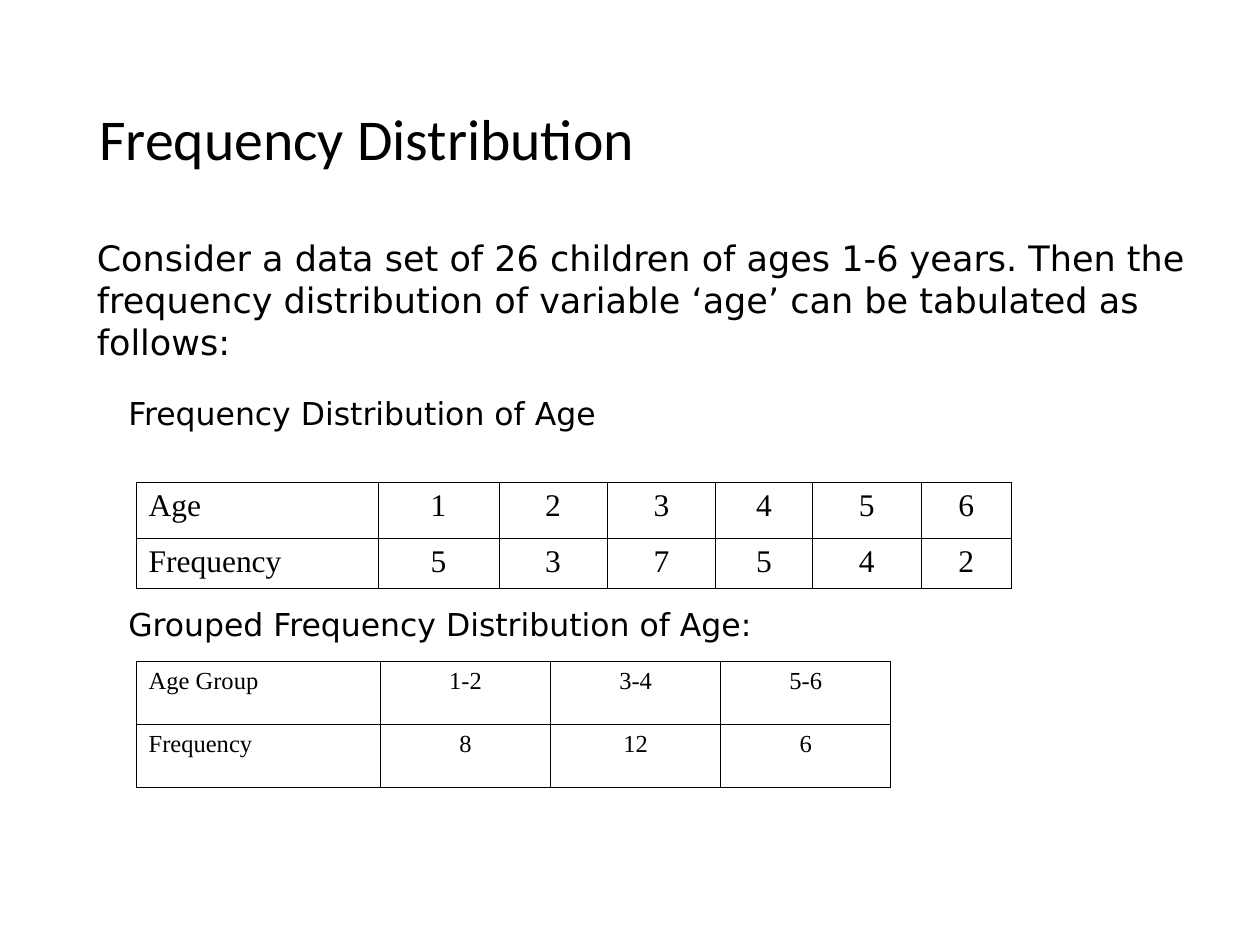
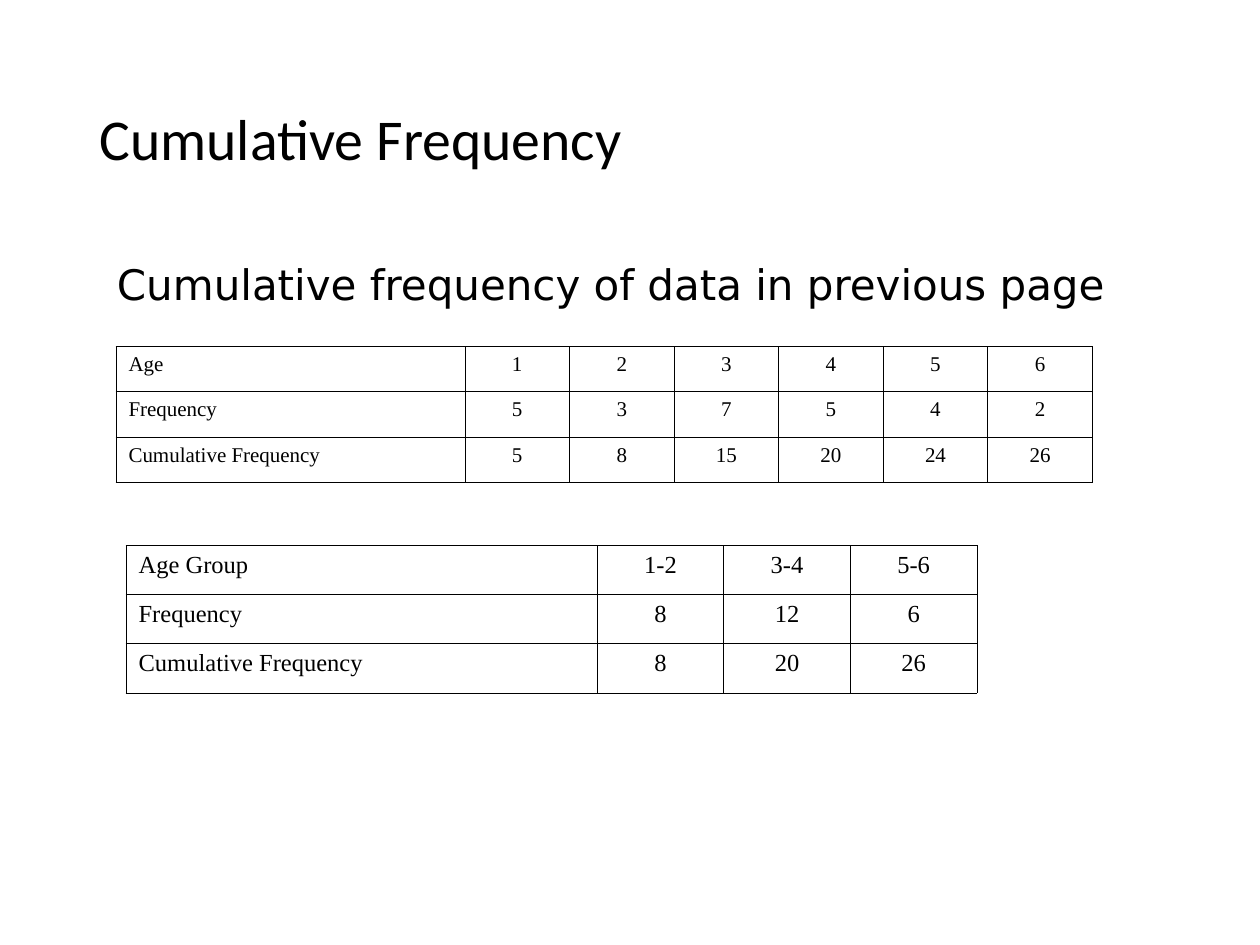
"""Build two slides on frequency and cumulative frequency distributions."""
from itertools import accumulate

from lxml import etree
from pptx import Presentation
from pptx import util as u
from pptx.dml.color import RGBColor
from pptx.enum import text
from pptx.oxml import ns

COLOURS = {"ink": "000000", "paper": "FFFFFF"}
FONTS = {"title": "Calibri", "body": "DejaVu Sans", "table": "Times New Roman"}
TITLE_PLACE = (0.69, 0.4, 8.63, 1.45)
BORDER_POINTS = 0.45

AGES = ("Age", ["1", "2", "3", "4", "5", "6"])
AGE_COUNTS = [5, 3, 7, 5, 4, 2]
GROUPS = ("Age Group", ["1-2", "3-4", "5-6"])
GROUP_COUNTS = [8, 12, 6]

SLIDES = [
    {
        "title": "Frequency Distribution",
        "tables": [
            {"heading": AGES, "counts": AGE_COUNTS, "cumulative": False,
             "at": (1.08, 3.83), "size": 18, "rows": [0.44, 0.4],
             "columns": [1.92, 0.96, 0.86, 0.86, 0.77, 0.86, 0.72]},
            {"heading": GROUPS, "counts": GROUP_COUNTS, "cumulative": False,
             "at": (1.08, 5.25), "size": 14, "rows": [0.5] * 2,
             "columns": [1.94] + [1.35] * 3},
        ],
        "captions": [
            ("Frequency Distribution of Age", (0.92, 3.08, 4.17, 0.4), 18),
            ("Grouped Frequency Distribution of Age:", (0.92, 4.75, 8.25, 0.4), 18),
            ("Consider a data set of 26 children of ages 1-6 years. Then the "
             "frequency distribution of variable ‘age’ can be tabulated as follows:",
             (0.67, 1.83, 9.33, 0.77), 20),
        ],
    },
    {
        "title": "Cumulative Frequency",
        "tables": [
            {"heading": GROUPS, "counts": GROUP_COUNTS, "cumulative": True,
             "at": (1, 4.33), "size": 14, "rows": [0.39] * 3,
             "columns": [3.74] + [1.005] * 3},
            {"heading": AGES, "counts": AGE_COUNTS, "cumulative": True,
             "at": (0.92, 2.75), "size": 12, "rows": [0.36] * 3,
             "columns": [2.77] + [0.83] * 6},
        ],
        "captions": [
            ("Cumulative frequency of data in previous page",
             (0.83, 2, 8.67, 0.5), 24),
        ],
    },
]


def write(frame, words, role, size):
    frame.text = words
    paragraph = frame.paragraphs[0]
    for run in paragraph.runs:
        run.font.name = FONTS[role]
        run.font.size = u.Pt(size)
        run.font.color.rgb = RGBColor.from_string(COLOURS["ink"])
    return paragraph


def add_text(slide, words, place, role, size):
    frame = slide.shapes.add_textbox(*map(u.Inches, place)).text_frame
    frame.word_wrap = True
    return frame, write(frame, words, role, size)


def add_title(slide, words):
    frame, paragraph = add_text(slide, words, TITLE_PLACE, "title", 33)
    frame.vertical_anchor = text.MSO_ANCHOR.MIDDLE
    paragraph.line_spacing = 0.9


def add_caption(slide, words, place, size):
    frame, _ = add_text(slide, words, place, "body", size)
    frame.auto_size = text.MSO_AUTO_SIZE.SHAPE_TO_FIT_TEXT


def outline(cell):
    cell.fill.background()
    properties = cell._tc.get_or_add_tcPr()
    for position, side in enumerate(("lnL", "lnR", "lnT", "lnB")):
        line = etree.Element(ns.qn(f"a:{side}"), w=str(int(u.Pt(BORDER_POINTS))))
        fill = etree.SubElement(line, ns.qn("a:solidFill"))
        etree.SubElement(fill, ns.qn("a:srgbClr"), val=COLOURS["ink"])
        properties.insert(position, line)


def add_frequencies(slide, part):
    label, classes = part["heading"]
    records = [[label, *classes], ["Frequency", *part["counts"]]]
    if part["cumulative"]:
        records.append(["Cumulative Frequency", *accumulate(part["counts"])])
    extent = (sum(part["columns"]), sum(part["rows"]))
    table = slide.shapes.add_table(
        len(records), len(records[0]), *map(u.Inches, part["at"] + extent)).table
    table.first_row = table.horz_banding = False
    for column, width in zip(table.columns, part["columns"]):
        column.width = u.Inches(width)
    for row, height, record in zip(table.rows, part["rows"], records):
        row.height = u.Inches(height)
        for index, (cell, value) in enumerate(zip(row.cells, record)):
            paragraph = write(cell.text_frame, str(value), "table", part["size"])
            paragraph.alignment = text.PP_ALIGN.CENTER if index else text.PP_ALIGN.LEFT
            outline(cell)


def main():
    deck = Presentation()
    deck.slide_width, deck.slide_height = u.Inches(10), u.Inches(7.5)
    for content in SLIDES:
        slide = deck.slides.add_slide(deck.slide_layouts[6])
        slide.background.fill.solid()
        slide.background.fill.fore_color.rgb = RGBColor.from_string(COLOURS["paper"])
        add_title(slide, content["title"])
        for part in content["tables"]:
            add_frequencies(slide, part)
        for caption in content["captions"]:
            add_caption(slide, *caption)
    deck.save("out.pptx")


if __name__ == "__main__":
    main()
